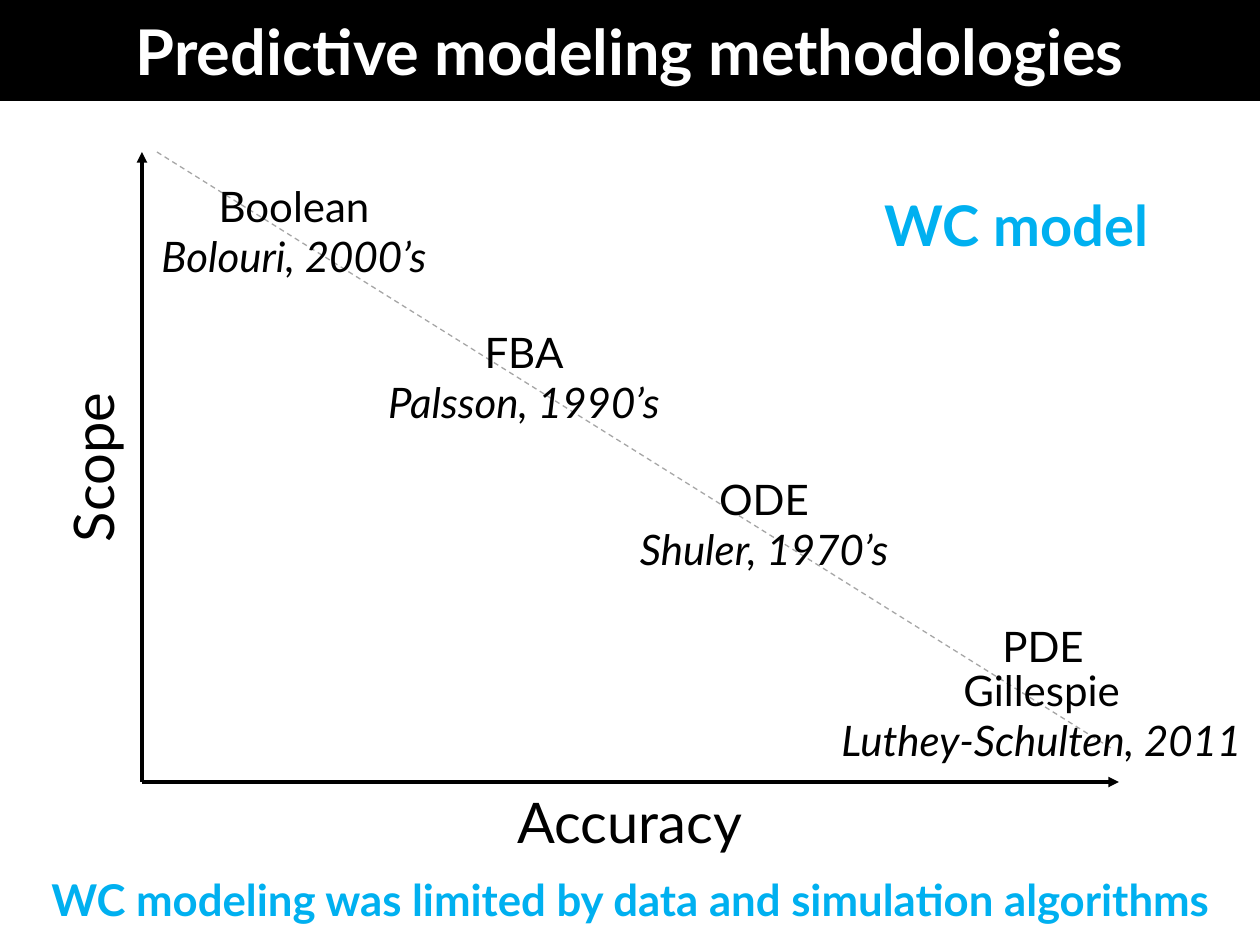
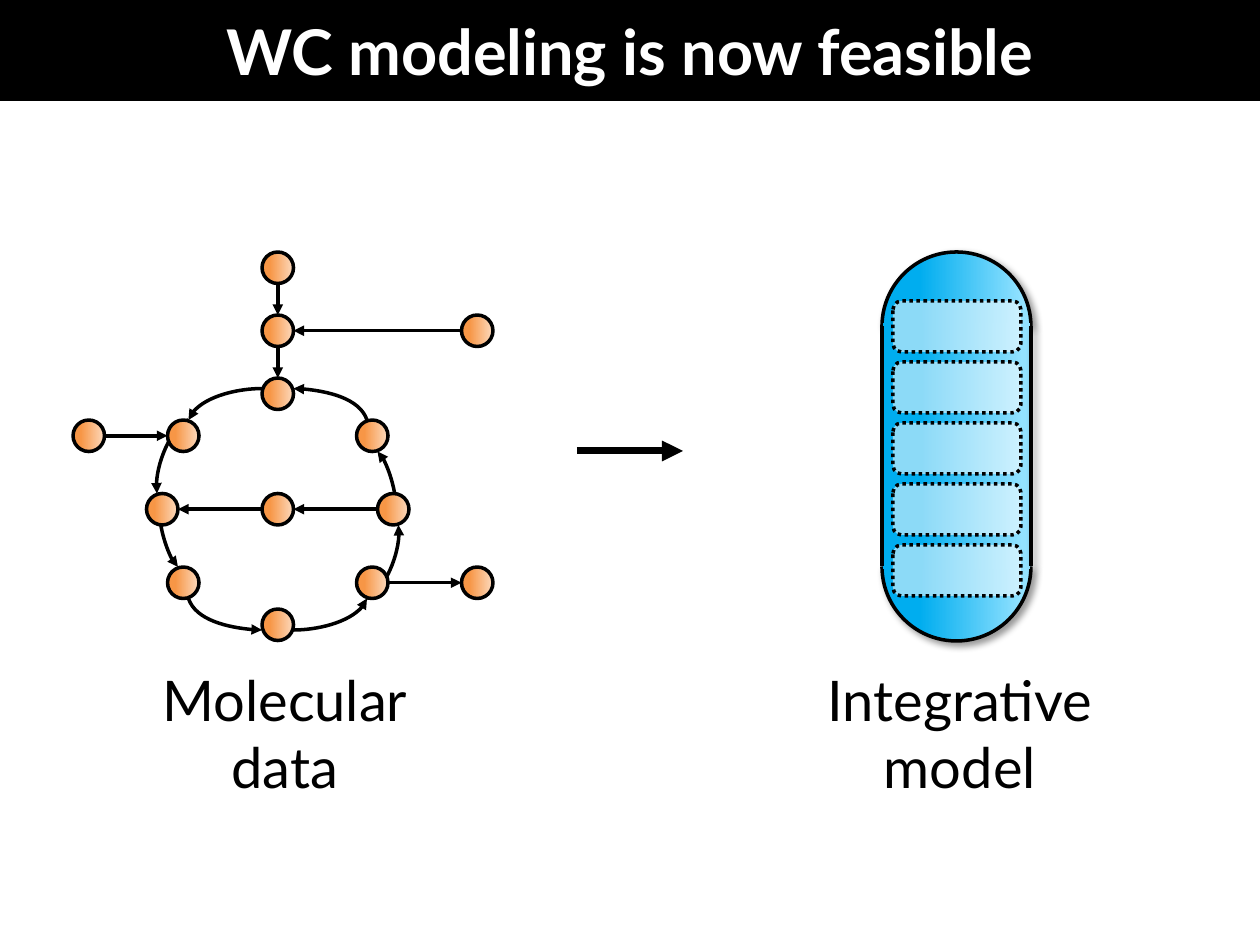
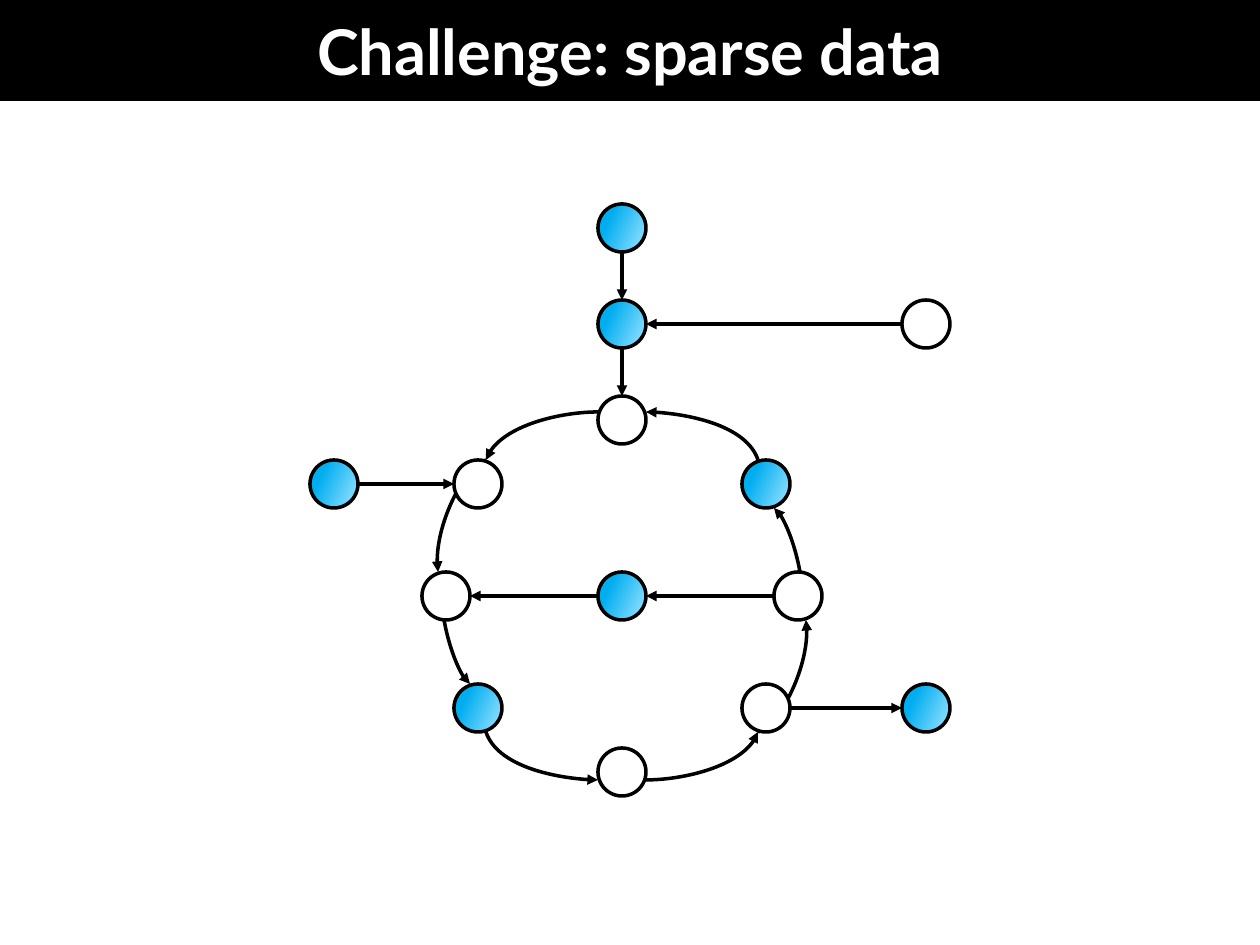
from math import hypot

from lxml.etree import SubElement
from pptx import Presentation
from pptx.dml.color import RGBColor
from pptx.enum.dml import MSO_LINE
from pptx.enum.shapes import MSO_CONNECTOR, MSO_SHAPE
from pptx.enum.text import MSO_ANCHOR, MSO_AUTO_SIZE, PP_ALIGN
from pptx.oxml.ns import qn
from pptx.util import Emu, Pt

PX_PER_INCH = 126
FONT = "Lato"
COLORS = {
    "black": "000000",
    "white": "FFFFFF",
    "grey": "A6A6A6",
    "accent": "00B0F0",
    "blue": "00ADEF",
    "light_blue": "93E2FF",
    "orange": "F79646",
    "light_orange": "FCD5B5",
}
ORANGE_GRADIENT = ("orange", "light_orange")
BLUE_GRADIENT = ("blue", "light_blue")

# Reaction network on a 40-unit-wide grid: node name -> left, top
GRID_WIDTH = 40
NODE_SIZE = 3
NODES = {
    "top": (18, 0),
    "entry": (18, 6),
    "right source": (37, 6),
    "ring top": (18, 12),
    "left source": (0, 16),
    "upper left": (9, 16),
    "upper right": (27, 16),
    "left": (7, 23),
    "center": (18, 23),
    "right": (29, 23),
    "lower left": (9, 30),
    "lower right": (27, 30),
    "right sink": (37, 30),
    "bottom": (18, 34),
}
STRAIGHT_FLOWS = [
    ("top", "entry"),
    ("entry", "ring top"),
    ("right source", "entry"),
    ("left source", "upper left"),
    ("lower right", "right sink"),
    ("right", "center"),
    ("center", "left"),
]
# Bezier points from the ring's centre, mirrored into its quadrants
RING_CENTER = (19.5, 24.5)
CAP_CURVE = [(1.5, 11.5), (3.7, 11.5), (7.8, 10.6), (8.5, 8.5)]
OUTER_CURVE = [(8.5, 8.5), (9.8, 8.1), (11.9, 4.1), (11.5, 1.5)]
INNER_CURVE = [(11.3, -1.5), (11.5, 1.1), (10.3, 5.1), (9.5, 5.5)]
CURVED_FLOWS = [
    (CAP_CURVE, -1, -1),
    (CAP_CURVE[::-1], 1, -1),
    (CAP_CURVE[::-1], -1, 1),
    (CAP_CURVE, 1, 1),
    (OUTER_CURVE, -1, -1),
    (OUTER_CURVE, 1, 1),
    (INNER_CURVE, -1, 1),
    (INNER_CURVE, 1, -1),
]


def px(length):
    return Emu(round(length * 914400 / PX_PER_INCH))


def rgb(name):
    return RGBColor.from_string(COLORS[name])


# Formatting
def set_line(line, color="black", width=2, dash=None):
    line.color.rgb = rgb(color)
    line.width = Pt(width)
    if dash:
        line.dash_style = dash


def set_gradient(fill, colors, angle=0):
    """Apply a two-stop gradient; the angle runs clockwise."""
    fill.gradient()
    fill.gradient_angle = -angle % 360
    for stop, color, position in zip(fill.gradient_stops, colors, (0.25, 0.95)):
        stop.color.rgb = rgb(color)
        stop.position = position


def add_alpha(color_element, percent):
    SubElement(color_element, qn("a:alpha"), val=str(percent * 1000))


def add_arrowhead(shape):
    SubElement(shape.line._get_or_add_ln(), qn("a:tailEnd"), type="triangle")


def add_shadow(shape):
    effects = shape._element.spPr.find(qn("a:effectLst"))
    shadow = SubElement(effects, qn("a:outerShdw"), blurRad=str(Pt(4)),
                        dist=str(Pt(3)), dir=str(45 * 60000))
    add_alpha(SubElement(shadow, qn("a:srgbClr"), val=COLORS["black"]), 40)


def add_run(paragraph, text, size, color="black", bold=False, italic=False):
    run = paragraph.add_run()
    run.text = text
    font = run.font
    font.name, font.size = FONT, Pt(size)
    font.bold, font.italic = bold, italic
    font.color.rgb = rgb(color)


# Elements
def add_titled_slide(presentation, title):
    slide = presentation.slides.add_slide(presentation.slide_layouts[5])
    band = slide.shapes.title
    band.left, band.top, band.width, band.height = 0, 0, px(1260), px(101)
    band.fill.solid()
    band.fill.fore_color.rgb = rgb("black")
    frame = band.text_frame
    frame.margin_left = frame.margin_right = frame.margin_top = frame.margin_bottom = 0
    frame.vertical_anchor = MSO_ANCHOR.MIDDLE
    paragraph = frame.paragraphs[0]
    paragraph.alignment = PP_ALIGN.CENTER
    add_run(paragraph, title, 36, "white", bold=True)
    return slide


def add_text_box(slide, left, top, width, height, wrap=False):
    """Add a centred text box and return it with its first paragraph."""
    box = slide.shapes.add_textbox(px(left), px(top), px(width), px(height))
    box.text_frame.word_wrap = wrap
    box.text_frame.auto_size = MSO_AUTO_SIZE.SHAPE_TO_FIT_TEXT
    paragraph = box.text_frame.paragraphs[0]
    paragraph.alignment = PP_ALIGN.CENTER
    return box, paragraph


def add_label(slide, text, left, top, width, height, size=32, color="black",
              bold=False, wrap=False):
    box, paragraph = add_text_box(slide, left, top, width, height, wrap)
    add_run(paragraph, text, size, color, bold)
    return box


def add_method(slide, method, citation, left, top, width):
    box, paragraph = add_text_box(slide, left, top, width, 115)
    add_run(paragraph, method, 24)
    paragraph = box.text_frame.add_paragraph()
    paragraph.alignment = PP_ALIGN.CENTER
    add_run(paragraph, citation, 24, italic=True)


def add_caption(slide, words, left, width):
    paragraph = add_text_box(slide, left, 659, width, 142)[1]
    add_run(paragraph, words[0], 32)
    paragraph.add_line_break()
    add_run(paragraph, words[1], 32)


def add_line(slide, start, end, arrow=False, **style):
    line = slide.shapes.add_connector(
        MSO_CONNECTOR.STRAIGHT, *(px(value) for value in (*start, *end)))
    set_line(line.line, **style)
    if arrow:
        add_arrowhead(line)
    SubElement(line._element.spPr, qn("a:effectLst"))
    return line


def add_shape(slide, kind, left, top, width, height):
    shape = slide.shapes.add_shape(kind, px(left), px(top), px(width), px(height))
    shape.shadow.inherit = False
    return shape


def add_curved_arrow(slide, points):
    start, *rest = [(px(x), px(y)) for x, y in points]
    builder = slide.shapes.build_freeform(*start)
    builder.add_line_segments(rest, close=False)
    curve = builder.convert_to_shape()
    curve.shadow.inherit = False
    curve.fill.background()
    set_line(curve.line)
    add_arrowhead(curve)
    # Join the three segments into one cubic curve
    path = next(curve._element.iter(qn("a:path")))
    segments = path.findall(qn("a:lnTo"))
    bezier = SubElement(path, qn("a:cubicBezTo"))
    for segment in segments:
        bezier.append(segment[0])
        path.remove(segment)


def add_network(slide, left, top, width, gradient, angle=0, known=tuple(NODES)):
    """Draw the reaction network; nodes that are not known stay white."""
    unit = width / GRID_WIDTH
    radius = NODE_SIZE / 2

    def place(x, y):
        return left + x * unit, top + y * unit

    for source, target in STRAIGHT_FLOWS:
        (x1, y1), (x2, y2) = [
            (x + radius, y + radius) for x, y in (NODES[source], NODES[target])]
        distance = hypot(x2 - x1, y2 - y1)
        dx, dy = (x2 - x1) / distance * radius, (y2 - y1) / distance * radius
        add_line(slide, place(x1 + dx, y1 + dy), place(x2 - dx, y2 - dy), arrow=True)

    center_x, center_y = RING_CENTER
    for curve, side_x, side_y in CURVED_FLOWS:
        add_curved_arrow(slide, [
            place(center_x + side_x * x, center_y + side_y * y) for x, y in curve])

    size = NODE_SIZE * unit
    for name, position in NODES.items():
        node = add_shape(slide, MSO_SHAPE.OVAL, *place(*position), size, size)
        if name in known:
            set_gradient(node.fill, gradient, angle)
        else:
            node.fill.solid()
            node.fill.fore_color.rgb = rgb("white")
        set_line(node.line)


def add_cell_model(slide):
    left, diameter, top_cap, bottom_cap = 882, 149, 252, 492
    right = left + diameter
    body_top, body_bottom = top_cap + diameter // 2, bottom_cap + diameter // 2

    # Caps are half arcs; arc angles are counted in 100000ths
    half_turn = 180 * 60000 / 100000
    for top, start, end in ((top_cap, half_turn, 0), (bottom_cap, 0, half_turn)):
        cap = add_shape(slide, MSO_SHAPE.ARC, left, top, diameter, diameter)
        cap.adjustments[0], cap.adjustments[1] = start, end
        set_gradient(cap.fill, BLUE_GRADIENT)
        set_line(cap.line)
        add_shadow(cap)

    # Body and its walls
    body = add_shape(slide, MSO_SHAPE.RECTANGLE, left + 1, body_top - 3,
                     diameter - 2, body_bottom - body_top + 6)
    set_gradient(body.fill, BLUE_GRADIENT)
    body.line.fill.background()
    add_line(slide, (left, body_top), (left, body_bottom))
    add_shadow(add_line(slide, (right, body_top), (right, body_bottom)))

    # Submodels
    for row in range(5):
        submodel = add_shape(slide, MSO_SHAPE.ROUNDED_RECTANGLE,
                             893, 301 + 61 * row, 128, 51)
        submodel.fill.solid()
        submodel.fill.fore_color.rgb = rgb("white")
        add_alpha(next(submodel._element.spPr.iter(qn("a:srgbClr"))), 55)
        set_line(submodel.line, dash=MSO_LINE.ROUND_DOT)


# Slides
def build_methodologies(presentation):
    slide = add_titled_slide(presentation, "Predictive modeling methodologies")
    add_line(slide, (157, 152), (1114, 750), color="grey", width=0.75,
             dash=MSO_LINE.DASH)
    origin = (142, 782)
    add_line(slide, origin, (142, 152), arrow=True)
    add_line(slide, origin, (1119, 782), arrow=True)
    add_label(slide, "Accuracy", 501, 781, 258, 81)
    add_label(slide, "Scope", 0, 427, 185, 81).rotation = 270
    for method in (
        ("ODE", "Shuler, 1970’s", 617, 467, 294),
        ("FBA", "Palsson, 1990’s", 362, 320, 324),
        ("Boolean", "Bolouri, 2000’s", 141, 174, 306),
        ("Gillespie", "Luthey-Schulten, 2011", 818, 658, 447),
    ):
        add_method(slide, *method)
    add_label(slide, "PDE", 987, 614, 112, 63, size=24)
    add_label(slide, "WC model", 867, 184, 299, 81, color="accent", bold=True)
    add_label(slide, "WC modeling was limited by data and simulation algorithms",
              0, 867, 1260, 66, size=25, color="accent", bold=True, wrap=True)


def build_feasibility(presentation):
    slide = add_titled_slide(presentation, "WC modeling is now feasible")
    add_network(slide, 73, 252, 420, ORANGE_GRADIENT)
    add_line(slide, (577, 451), (683, 451), arrow=True, width=4)
    add_caption(slide, ("Molecular", "data"), 92, 386)
    add_caption(slide, ("Integrative", "model"), 738, 444)
    add_cell_model(slide)


def build_sparse_data(presentation):
    slide = add_titled_slide(presentation, "Challenge: sparse data")
    measured = ("top", "entry", "left source", "upper right", "center",
                "lower left", "right sink")
    add_network(slide, 310, 204, 640, BLUE_GRADIENT, 25, measured)


def main():
    presentation = Presentation()
    presentation.slide_width, presentation.slide_height = px(1260), px(945)
    build_methodologies(presentation)
    build_feasibility(presentation)
    build_sparse_data(presentation)
    presentation.save("out.pptx")


if __name__ == "__main__":
    main()
